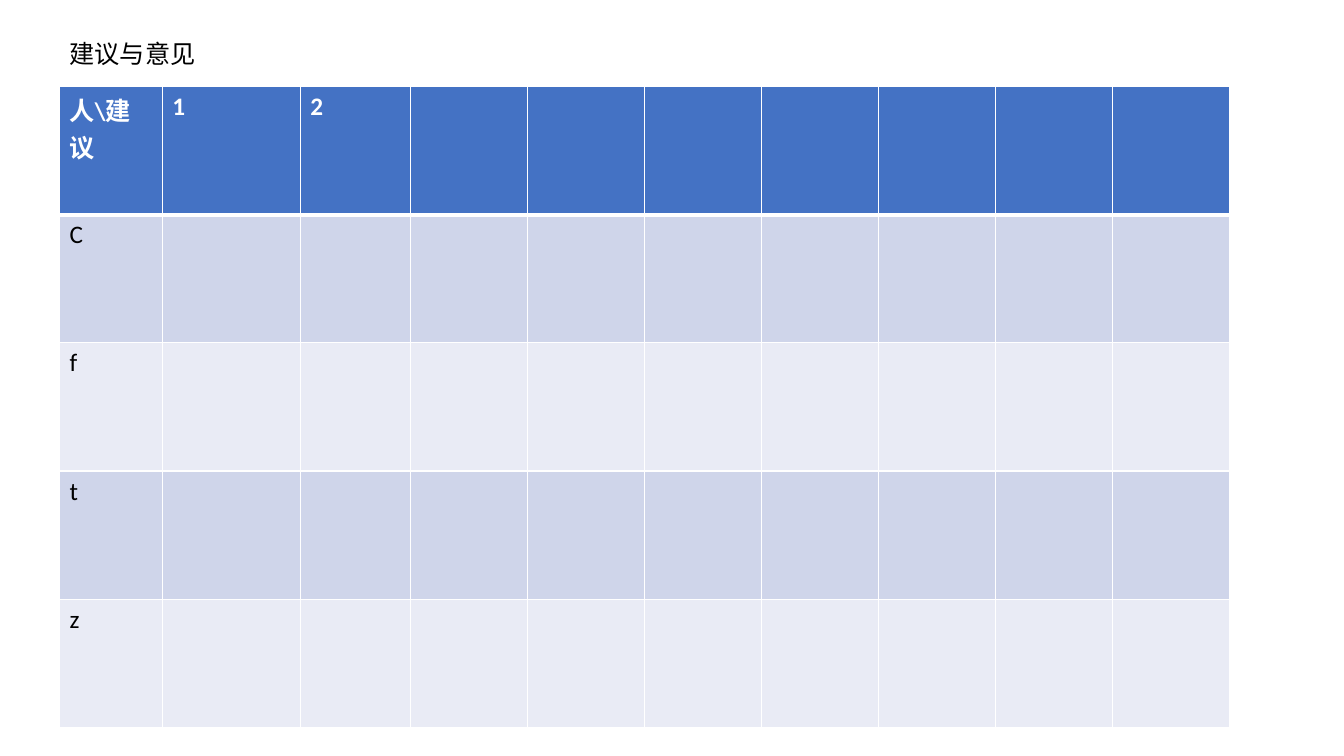
"""Build a slide with a grid for collecting suggestions per person."""
from lxml import etree
from pptx import Presentation
from pptx.dml.color import RGBColor
from pptx.enum.text import MSO_ANCHOR, MSO_AUTO_SIZE, PP_ALIGN
from pptx.oxml.ns import qn
from pptx.util import Cm, Pt

TOP = MSO_ANCHOR.TOP
LEFT = PP_ALIGN.LEFT
FIXED = MSO_AUTO_SIZE.NONE
TITLE_ONLY = 5

COLORS = {
    "text": "000000",
    "header": "4472C4",
    "header_text": "FFFFFF",
    "border": "FFFFFF",
    "odd": "CFD5EA",
    "even": "E9EBF5",
}


class SlideBuilder:
    """Hold the text style and the current slide."""

    def __init__(self, deck, font="Calibri", size=18):
        """Add a title-only slide to the deck."""
        self.font, self.size = font, size
        self.slide = deck.slides.add_slide(deck.slide_layouts[TITLE_ONLY])

    def color(self, name):
        """Return a palette colour."""
        return RGBColor.from_string(COLORS[name])

    def add_text(self, frame, words, color, bold=False):
        """Add one left-aligned run."""
        paragraph = frame.paragraphs[0]
        paragraph.alignment = LEFT
        run = paragraph.add_run()
        run.text = words
        run.font.name = self.font
        run.font.size = Pt(self.size)
        run.font.bold = bold
        run.font.color.rgb = self.color(color)

    def title(self, words, left, top, width, height):
        """Place and format the title placeholder."""
        heading = self.slide.shapes.title
        heading.left, heading.top = Cm(left), Cm(top)
        heading.width, heading.height = Cm(width), Cm(height)
        frame = heading.text_frame
        frame.word_wrap = True
        frame.auto_size = FIXED
        frame.vertical_anchor = TOP
        self.add_text(frame, words, "text")

    def borders(self, cell, top, bottom):
        """Draw the four borders of a cell, widths in points."""
        properties = cell._tc.get_or_add_tcPr()
        sides = {"lnL": 1, "lnR": 1, "lnT": top, "lnB": bottom}
        for position, (side, width) in enumerate(sides.items()):
            line = etree.Element(qn(f"a:{side}"), w=str(Pt(width)))
            fill = etree.SubElement(line, qn("a:solidFill"))
            etree.SubElement(fill, qn("a:srgbClr"), val=COLORS["border"])
            properties.insert(position, line)

    def grid(self, rows, widths, left, top, row_height):
        """Add a table with a header row and banded body rows."""
        table = self.slide.shapes.add_table(
            len(rows), len(widths), Cm(left), Cm(top),
            Cm(sum(widths)), Cm(row_height * len(rows))).table
        for column, width in zip(table.columns, widths):
            column.width = Cm(width)
        for index, (row, labels) in enumerate(zip(table.rows, rows)):
            row.height = Cm(row_height)
            header = index == 0
            band = "header" if header else "odd" if index % 2 else "even"
            for cell in row.cells:
                cell.fill.solid()
                cell.fill.fore_color.rgb = self.color(band)
                self.borders(cell, 3 if index == 1 else 1, 3 if header else 1)
            for cell, label in zip(row.cells, labels):
                self.add_text(cell.text_frame, label,
                              "header_text" if header else "text", header)


deck = Presentation()
deck.slide_width, deck.slide_height = Cm(33.87), Cm(19.05)

suggestions = SlideBuilder(deck)
suggestions.title("建议与意见", 1.5, 0.84, 4.88, 1.02)

people = ["C", "f", "t", "z"]
suggestion_rows = [["人\\建议", "1", "2"]] + [[person] for person in people]
column_widths = [2.59, 3.48, 2.77] + [2.95] * 7
suggestions.grid(suggestion_rows, column_widths, 1.5, 2.18, 3.23)

deck.save("out.pptx")
